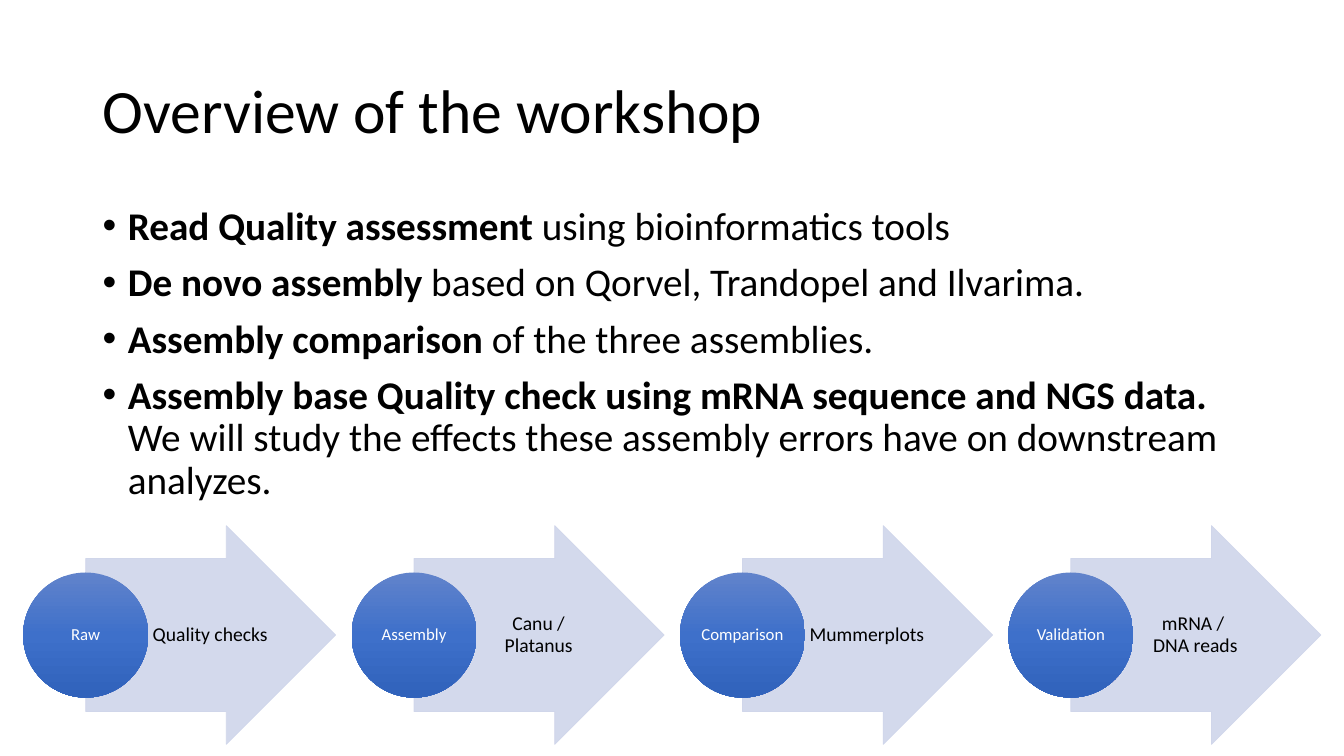
import copy
import pptx
import pptx.dml.color
import pptx.enum.shapes
import pptx.enum.text
import pptx.oxml
import pptx.oxml.ns
import pptx.util

Inches = pptx.util.Inches
RGB = pptx.dml.color.RGBColor
KIND = pptx.enum.shapes.MSO_SHAPE
ALIGN = pptx.enum.text.PP_ALIGN
MIDDLE = pptx.enum.text.MSO_ANCHOR.MIDDLE
qn = pptx.oxml.ns.qn

TITLE = "Overview of the workshop"
BULLETS = [
    ("Read Quality assessment ", "using bioinformatics tools"),
    ("De novo assembly ", "based on Qorvel, Trandopel and Ilvarima."),
    ("Assembly comparison ", "of the three assemblies."),
    ("Assembly base Quality check using mRNA sequence and NGS data.",
     " We will study the effects these assembly errors have on downstream analyzes."),
]
STEPS = [
    ("Raw", "Quality checks"),
    ("Assembly", "Canu /\vPlatanus"),
    ("Comparison", "Mummerplots"),
    ("Validation", "mRNA / \vDNA reads"),
]

FONT = "Calibri"
BLACK = RGB(0, 0, 0)
WHITE = RGB(255, 255, 255)
PALE = RGB(0xCF, 0xD5, 0xEA)
BLUES = [(0, RGB(0x61, 0x83, 0xCB)), (0.5, RGB(0x3E, 0x70, 0xCA)),
         (1, RGB(0x30, 0x62, 0xBB))]

LEFT, PITCH = 0.23, 3.257
DISC = 1.24
MID = 6.3
ARROW_W, ARROW_H = 2.48, 2.17
LABEL_W, LABEL_H = 1.21, 1.52


def style(para, size, color, align=ALIGN.LEFT):
    """Format a paragraph and all its runs."""
    para.alignment = align
    para.line_spacing = 0.9
    for run in para.runs:
        run.font.name = FONT
        run.font.size = pptx.util.Pt(size)
        run.font.color.rgb = color


def setup(frame, insets=(0.1, 0.05, 0.1, 0.05), anchor=MIDDLE):
    """Wrap a text frame, and set its insets and anchor."""
    frame.word_wrap = True
    frame.vertical_anchor = anchor
    (frame.margin_left, frame.margin_top,
     frame.margin_right, frame.margin_bottom) = map(Inches, insets)
    return frame


def textbox(slide, *box):
    """Add a text box and return its frame."""
    return slide.shapes.add_textbox(*map(Inches, box)).text_frame


def bullet(para):
    """Give a paragraph a hanging bullet."""
    props = para._p.get_or_add_pPr()
    props.set("marL", str(Inches(0.25)))
    props.set("indent", str(-Inches(0.25)))
    font = pptx.oxml.parse_xml(
        '<a:buFont xmlns:a="%s" typeface="Arial"/>' % pptx.oxml.ns.nsuri("a"))
    mark = pptx.oxml.parse_xml(
        '<a:buChar xmlns:a="%s" char="\u2022"/>' % pptx.oxml.ns.nsuri("a"))
    props.extend([font, mark])


def fade(shape):
    """Fill a shape from light at the top to dark at the bottom."""
    shape.fill.gradient()
    shape.fill.gradient_angle = 270
    stops = shape._element.spPr.find(".//" + qn("a:gsLst"))
    stops.insert(1, copy.deepcopy(stops[0]))
    for stop, (place, color) in zip(shape.fill.gradient_stops, BLUES):
        stop.position = place
        stop.color.rgb = color


def add_arrow(slide, left):
    """Add a pale, slightly transparent arrow."""
    arrow = slide.shapes.add_shape(
        KIND.RIGHT_ARROW, Inches(left), Inches(MID - ARROW_H / 2),
        Inches(ARROW_W), Inches(ARROW_H))
    arrow.shadow.inherit = False
    arrow.adjustments[0], arrow.adjustments[1] = 0.7, 0.5
    arrow.fill.solid()
    arrow.fill.fore_color.rgb = PALE
    arrow.line.color.rgb = PALE
    arrow.line.width = pptx.util.Pt(0.5)
    for color in arrow._element.spPr.iter(qn("a:srgbClr")):
        alpha = color.makeelement(qn("a:alpha"), {"val": "90000"})
        color.append(alpha)


def add_step(slide, left, name, task):
    """Add one step: arrow, task label and named disc."""
    add_arrow(slide, left + DISC / 2)
    label = setup(textbox(slide, left + DISC, MID - LABEL_H / 2, LABEL_W, LABEL_H),
                  (0.04, 0.01, 0.02, 0.01))
    label.text = task
    style(label.paragraphs[0], 14, BLACK, ALIGN.CENTER)

    disc = slide.shapes.add_shape(
        KIND.OVAL, Inches(left), Inches(MID - DISC / 2), Inches(DISC), Inches(DISC))
    disc.shadow.inherit = False
    disc.line.fill.background()
    fade(disc)
    frame = setup(disc.text_frame, (0.01,) * 4)
    frame.text = name
    style(frame.paragraphs[0], 12, WHITE, ALIGN.CENTER)


deck = pptx.Presentation()
deck.slide_width, deck.slide_height = Inches(13.33), Inches(7.5)
slide = deck.slides.add_slide(deck.slide_layouts[6])

head = setup(textbox(slide, 0.92, 0.4, 11.5, 1.45))
head.text = TITLE
style(head.paragraphs[0], 44, BLACK)

body = setup(textbox(slide, 0.92, 2, 11.5, 4.76), anchor=pptx.enum.text.MSO_ANCHOR.TOP)
for i, (topic, rest) in enumerate(BULLETS):
    para = body.add_paragraph() if i else body.paragraphs[0]
    for text, bold in ((topic, True), (rest, False)):
        run = para.add_run()
        run.text = text
        run.font.bold = bold
    style(para, 28, BLACK)
    para.space_before = pptx.util.Pt(10)
    bullet(para)

for i, (name, task) in enumerate(STEPS):
    add_step(slide, LEFT + i * PITCH, name, task)

deck.save("out.pptx")
